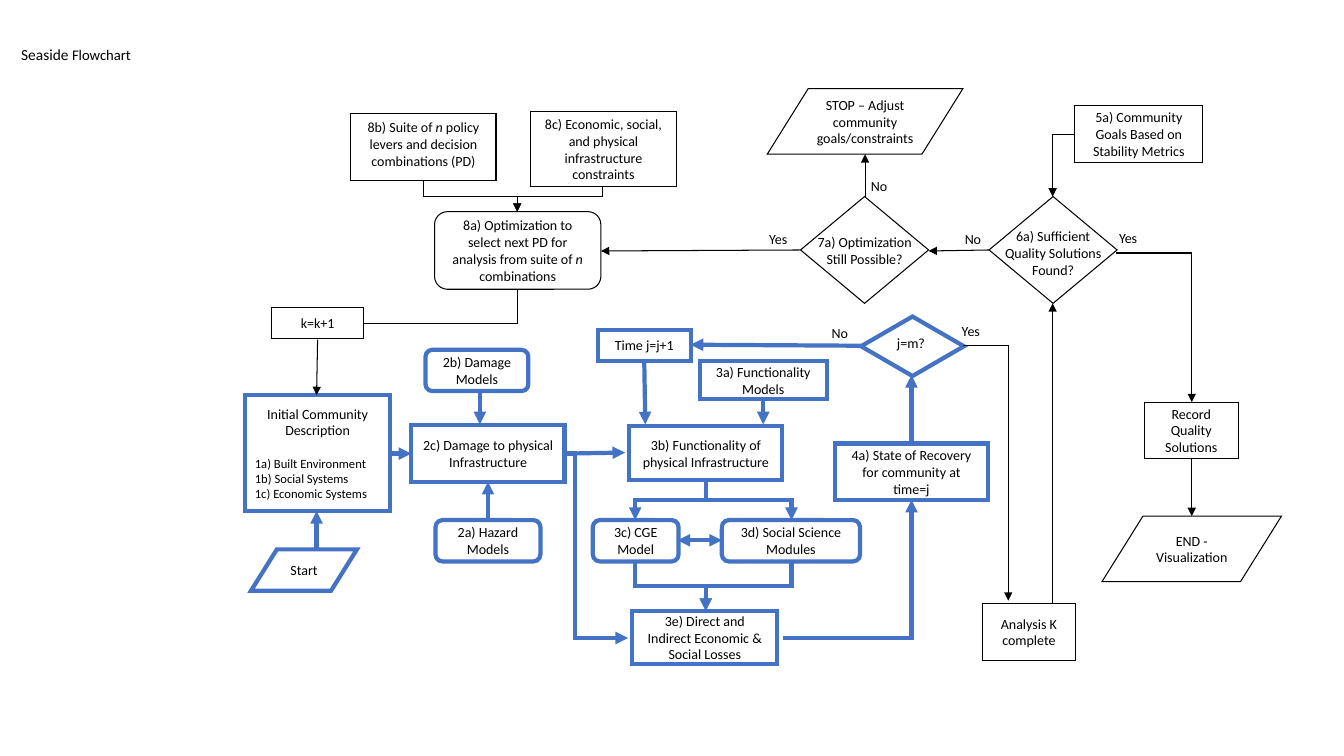
from dataclasses import dataclass

from lxml import etree
from pptx import Presentation
from pptx.dml.color import RGBColor
from pptx.enum.shapes import MSO_CONNECTOR, MSO_SHAPE
from pptx.enum.text import MSO_ANCHOR, MSO_AUTO_SIZE, PP_ALIGN
from pptx.oxml.ns import qn
from pptx.util import Inches, Pt

RECT = MSO_SHAPE.RECTANGLE
ROUND = MSO_SHAPE.ROUNDED_RECTANGLE
DIAMOND = MSO_SHAPE.DIAMOND
SLANT = MSO_SHAPE.PARALLELOGRAM
STRAIGHT, ELBOW = MSO_CONNECTOR.STRAIGHT, MSO_CONNECTOR.ELBOW
LEFT, CENTER = PP_ALIGN.LEFT, PP_ALIGN.CENTER
TOP, MIDDLE = MSO_ANCHOR.TOP, MSO_ANCHOR.MIDDLE
FIT_SHAPE, NO_FIT = MSO_AUTO_SIZE.SHAPE_TO_FIT_TEXT, MSO_AUTO_SIZE.NONE


@dataclass(frozen=True)
class Theme:
    font: str = "Calibri"
    ink: RGBColor = RGBColor(0, 0, 0)
    paper: RGBColor = RGBColor(0xFF, 0xFF, 0xFF)
    blue: RGBColor = RGBColor(0x44, 0x72, 0xC4)
    thin: float = 0.75
    thick: float = 3
    title_size: float = 11
    subtitle_size: float = 10.5
    body_size: float = 10
    list_size: float = 9


def write(para, text, theme, size, align=LEFT, before=0):
    """Add text to a paragraph; words between asterisks are italic."""
    para.alignment = align
    para.space_before = Pt(before)
    for index, part in enumerate(text.split("*")):
        span = para.add_run()
        span.text = part
        span.font.name, span.font.size = theme.font, Pt(size)
        span.font.color.rgb = theme.ink
        span.font.italic = index % 2 == 1


class FlowSlide:
    def __init__(self, deck, theme):
        self.theme = theme
        self.page = deck.slides.add_slide(deck.slide_layouts[5])

    def title(self, at, first, rest):
        box = self.page.shapes.title
        box.left, box.top, box.width, box.height = map(Inches, at)
        frame = box.text_frame
        frame.word_wrap, frame.auto_size = False, NO_FIT
        frame.vertical_anchor = TOP
        para = frame.paragraphs[0]
        write(para, first, self.theme, self.theme.title_size)
        write(para, rest, self.theme, self.theme.subtitle_size)

    def outline(self, line, main):
        line.color.rgb = self.theme.blue if main else self.theme.ink
        line.width = Pt(self.theme.thick if main else self.theme.thin)
        edge = line._get_or_add_ln()
        etree.SubElement(edge, qn("a:miter"), lim="800000")
        return edge

    def node(self, kind, at, text="", main=False, items=(), anchor=MIDDLE):
        box = self.page.shapes.add_shape(kind, *map(Inches, at))
        box.shadow.inherit = False
        box.fill.solid()
        box.fill.fore_color.rgb = self.theme.paper
        self.outline(box.line, main)
        if kind == SLANT:
            box.adjustments[0] = 0.625
        frame = box.text_frame
        frame.word_wrap, frame.vertical_anchor = True, anchor
        if text:
            write(frame.paragraphs[0], text, self.theme, self.theme.body_size, CENTER)
        for index, item in enumerate(items):
            write(frame.add_paragraph(), item, self.theme, self.theme.list_size,
                  before=0 if index else 12)

    def label(self, at, text, wrap=False):
        frame = self.page.shapes.add_textbox(*map(Inches, at)).text_frame
        frame.word_wrap, frame.auto_size = wrap, FIT_SHAPE
        write(frame.paragraphs[0], text, self.theme, self.theme.body_size,
              CENTER if wrap else LEFT)

    def link(self, start, end, main=False, leave=None, fold=None, tips=("tail",)):
        """leave: "across" or "down" for an elbow; fold: share of the way to a middle bend."""
        (x1, y1), (x2, y2) = start, end
        if leave == "down":
            # A quarter turn about the centre swaps the two half extents.
            mid_x, mid_y = (x1 + x2) / 2, (y1 + y2) / 2
            half_x, half_y = (y2 - y1) / 2, (x2 - x1) / 2
            x1, y1, x2, y2 = mid_x - half_x, mid_y + half_y, mid_x + half_x, mid_y - half_y
        line = self.page.shapes.add_connector(
            ELBOW if leave else STRAIGHT, *map(Inches, (x1, y1, x2, y2)))
        props = line._element.spPr
        if leave == "down":
            props.xfrm.set("rot", "5400000")
        if leave and fold is None:
            props.prstGeom.set("prst", "bentConnector2")
        elif leave:
            props.prstGeom.rewrite_guides([("adj1", round(fold * 100000))])
        edge = self.outline(line.line, main)
        for tip in tips:
            etree.SubElement(edge, qn(f"a:{tip}End"), type="triangle")
        etree.SubElement(props, qn("a:effectLst"))


# Highlighted loop: kind, place, text
MAIN_NODES = [
    (SLANT, (2.49, 5.45, 1.05, 0.41), "Start"),
    (RECT, (4.08, 4.22, 1.52, 0.56), "2c) Damage to physical Infrastructure"),
    (ROUND, (4.22, 3.47, 1.02, 0.41), "2b) Damage Models"),
    (ROUND, (4.32, 5.16, 1.04, 0.41), "2a) Hazard Models"),
    (ROUND, (5.88, 5.16, 0.85, 0.41), "3c) CGE Model"),
    (ROUND, (7.16, 5.16, 1.37, 0.41), "3d) Social Science Modules"),
    (RECT, (8.28, 4.4, 1.52, 0.56), "4a) State of Recovery for community at time=j"),
    (DIAMOND, (8.54, 3.14, 1.02, 0.59), ""),
    (RECT, (5.93, 3.27, 0.92, 0.31), "Time j=j+1"),
    (RECT, (6.27, 6.06, 1.44, 0.53), "3e) Direct and Indirect Economic & Social Losses"),
    (RECT, (6.24, 4.23, 1.52, 0.53), "3b) Functionality of physical Infrastructure"),
    (RECT, (6.94, 3.58, 1.26, 0.38), "3a) Functionality Models"),
]
COMMUNITY = ["1a) Built Environment", "1b) Social Systems", "1c) Economic Systems"]

# Surrounding decision steps
OUTER_NODES = [
    (RECT, (9.74, 5.99, 0.93, 0.56), "Analysis K complete"),
    (DIAMOND, (9.81, 1.95, 1.27, 1.06), ""),
    (DIAMOND, (7.94, 1.95, 1.27, 1.06), ""),
    (RECT, (11.35, 3.99, 0.93, 0.56), "Record Quality Solutions"),
    (SLANT, (10.93, 5.12, 1.78, 0.65), "END - Visualization"),
    (RECT, (10.66, 1.05, 1.27, 0.56), "5a) Community Goals Based on Stability Metrics"),
    (SLANT, (7.61, 0.88, 1.94, 0.65), "STOP – Adjust community goals/constraints"),
    (ROUND, (4.31, 2.1, 1.65, 0.77),
     "8a) Optimization to select next PD for analysis from suite of *n* combinations"),
    (RECT, (5.26, 1.11, 1.45, 0.74),
     "8c) Economic, social, and physical infrastructure constraints"),
    (RECT, (2.69, 3.05, 0.92, 0.31), "k=k+1"),
]

# Arrows: start, end, then how an elbow leaves and where it folds
MAIN_LINKS = [
    ((3.14, 5.45), (3.14, 5.07)),
    ((3.86, 4.5), (4.08, 4.5)),
    ((4.84, 5.16), (4.84, 4.78)),
    ((4.76, 3.88), (4.76, 4.21)),
    ((5.6, 4.5), (6.2, 4.49)),
    ((5.6, 4.5), (6.23, 6.33), "across", 0.17),
    ((7, 4.76), (6.3, 5.16), "down", 0.5),
    ((7, 4.76), (7.85, 5.16), "down", 0.5),
    ((6.3, 5.57), (7, 6.06), "down", 0.5),
    ((7.85, 5.57), (7, 6.06), "down", 0.5),
    ((7.77, 6.33), (9.04, 4.96), "across"),
    ((9.04, 4.4), (9.04, 3.72)),
    ((8.54, 3.43), (6.85, 3.42)),
    ((6.39, 3.58), (6.4, 4.21)),
    ((7.57, 3.96), (7.57, 4.21)),
]
OUTER_LINKS = [
    ((4.2, 1.79), (5.13, 2.1), "down", 0.5),
    ((5.98, 1.85), (5.13, 2.1), "down", 0.38),
    ((9.55, 3.43), (10, 5.96), "across"),
    ((10.44, 5.99), (10.44, 3.01)),
    ((11.07, 2.51), (11.82, 3.99), "across"),
    ((11.82, 4.55), (11.82, 5.12)),
    ((10.66, 1.33), (10.44, 1.95), "across"),
    ((9.81, 2.48), (9.21, 2.49)),
    ((8.58, 1.95), (8.58, 1.53)),
    ((7.94, 2.48), (5.96, 2.49)),
    ((3.15, 3.37), (3.14, 3.92)),
]
ANSWERS = {
    "No": [(8.15, 3.17), (9.47, 2.24), (8.54, 1.71)],
    "Yes": [(9.44, 3.15), (11, 2.23), (7.53, 2.24)],
}
QUESTIONS = [
    ((9.82, 2.21, 1.25, 0.61), "6a) Sufficient Quality Solutions Found?"),
    ((7.95, 2.27, 1.25, 0.44), "7a) Optimization Still Possible?"),
    ((8.67, 3.27, 0.73, 0.27), "j=m?"),
]


def main():
    deck = Presentation()
    deck.slide_width, deck.slide_height = Inches(13.33), Inches(7.5)
    chart = FlowSlide(deck, Theme())
    chart.title((0.11, 0.4, 1.33, 0.29), "Seaside", " Flowchart")

    # Steps
    for nodes, is_main in ((MAIN_NODES, True), (OUTER_NODES, False)):
        for kind, at, text in nodes:
            chart.node(kind, at, text, is_main)
    chart.node(RECT, (2.43, 3.92, 1.44, 1.15), "Initial Community Description",
               main=True, items=COMMUNITY)
    chart.node(RECT, (3.48, 1.13, 1.44, 0.66),
               "8b) Suite of *n* policy levers and decision combinations (PD)", anchor=TOP)

    # Arrows
    for links, is_main in ((MAIN_LINKS, True), (OUTER_LINKS, False)):
        for start, end, *bend in links:
            chart.link(start, end, is_main, *bend)
    chart.link((6.72, 5.36), (7.16, 5.36), main=True, tips=("head", "tail"))
    chart.link((5.13, 2.87), (3.61, 3.21), leave="down", tips=())

    # Decision texts and answers
    for at, text in QUESTIONS:
        chart.label(at, text, wrap=True)
    for answer, spots in ANSWERS.items():
        for left, top in spots:
            chart.label((left, top, 0.38, 0.27), answer)

    deck.save("out.pptx")


if __name__ == "__main__":
    main()
